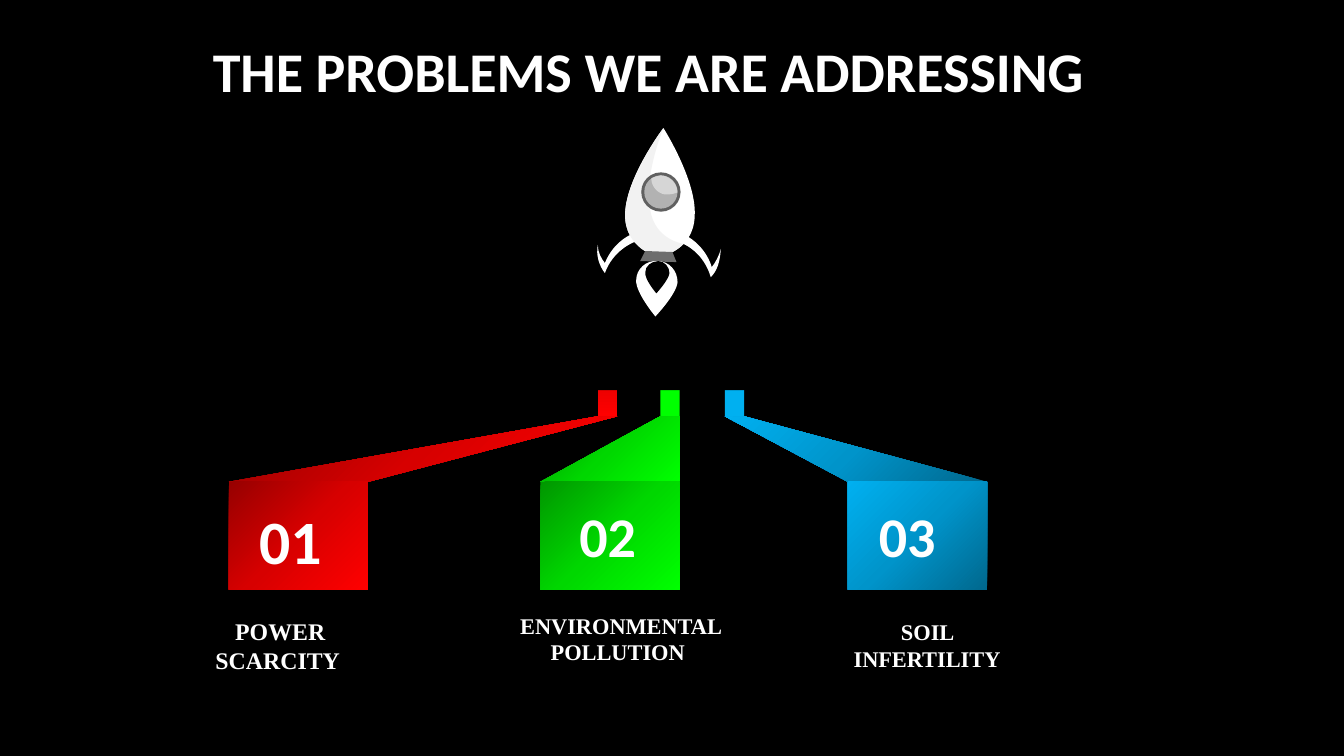
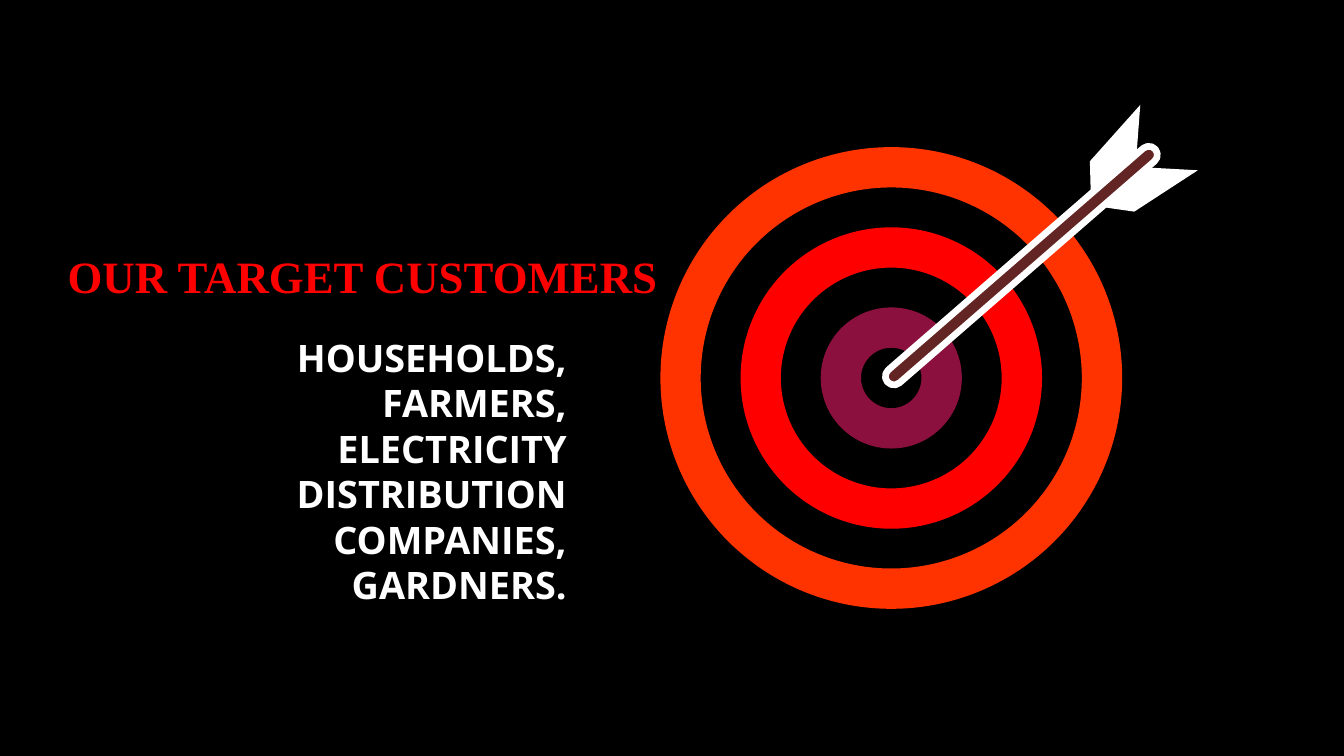
"""Build two slides: the problems being addressed and the target customers."""
from copy import deepcopy

from lxml.etree import SubElement
from pptx import Presentation
from pptx.dml.color import RGBColor
from pptx.enum.shapes import MSO_SHAPE as Shape
from pptx.enum.text import MSO_ANCHOR as Anchor, MSO_AUTO_SIZE as AutoSize, PP_ALIGN as Align
from pptx.oxml.ns import qn
from pptx.util import Inches, Pt

BLACK = RGBColor(0x00, 0x00, 0x00)
WHITE = RGBColor(0xFF, 0xFF, 0xFF)
PALE = RGBColor(0xF2, 0xF2, 0xF2)
GLINT = RGBColor(0xD6, 0xD6, 0xD6)
GLASS = RGBColor(0xB2, 0xB2, 0xB2)
STEEL = RGBColor(0x6D, 0x6D, 0x6D)
RIM = RGBColor(0x60, 0x60, 0x60)
RED = RGBColor(0xFF, 0x00, 0x00)
ORANGE = RGBColor(0xFF, 0x33, 0x00)
PLUM = RGBColor(0x8C, 0x10, 0x3D)
BROWN = RGBColor(0x63, 0x25, 0x23)
REDS = (RGBColor(0x97, 0x00, 0x00), RGBColor(0xD7, 0x00, 0x00), RED)
GREENS = (RGBColor(0x00, 0x97, 0x00), RGBColor(0x00, 0xD7, 0x00), RGBColor(0x00, 0xFF, 0x00))
BLUES = (RGBColor(0x00, 0x68, 0x8E), RGBColor(0x00, 0x94, 0xCA), RGBColor(0x00, 0xB0, 0xF0))
SANS, SERIF, BODY = "Calibri", "Times New Roman", "Open Sans"


def trace(page, start, *steps):
    """Draw a closed outline; two numbers make a line, six a cubic curve."""
    knots = [step[i:i + 2] for step in steps for i in range(0, len(step), 2)]
    builder = page.shapes.build_freeform(Inches(start[0]), Inches(start[1]))
    builder.add_line_segments([(Inches(x), Inches(y)) for x, y in knots], close=True)
    shape = builder.convert_to_shape()
    outline = next(shape.element.iter(qn("a:path")))
    lines = iter(outline.findall(qn("a:lnTo")))
    for step in steps:
        line = next(lines)
        if len(step) == 6:
            curve = outline.makeelement(qn("a:cubicBezTo"))
            line.addprevious(curve)
            for part in (line, next(lines), next(lines)):
                curve.append(part[0])
                outline.remove(part)
    return shape


def paint(shape, colors, angle=0):
    """Fill a shape with one colour, or with a three-stop clockwise gradient."""
    shape.shadow.inherit = False
    shape.line.fill.background()
    if len(colors) == 1:
        shape.fill.solid()
        shape.fill.fore_color.rgb = colors[0]
        return
    shape.fill.gradient()
    shape.fill.gradient_angle = 360 - angle
    stop_list = shape.element.spPr.find(qn("a:gradFill")).find(qn("a:gsLst"))
    stop_list.insert(1, deepcopy(stop_list[0]))
    for stop, color, position in zip(shape.fill.gradient_stops, colors, (0, 0.5, 1)):
        stop.color.rgb = color
        stop.position = position


deck = Presentation()
deck.slide_width, deck.slide_height = Inches(13.33), Inches(7.5)
backdrop = deck.slide_master.background.fill
backdrop.solid()
backdrop.fore_color.rgb = BLACK
texts = []

page = deck.slides.add_slide(deck.slide_layouts[5])
texts.append((page.shapes.title, (1.9, 0.31, 9.06, 0.77), ["THE PROBLEMS WE ARE ADDRESSING"],
              Align.CENTER, SANS, 40, WHITE))

STUB_TOP, FOLD_TOP, FRONT_TOP = 2.99, 4.13, 4.78
STUB_WIDTH, FRONT_WIDTH, FRONT_HEIGHT = 0.19, 1.38, 1.07
problems = [
    (5.93, 2.27, REDS, 45, "01", 44, (2.45, 4.94, 0.86, 0.84),
     "POWER SCARCITY ", 17, (1.9, 6.07, 1.76, 0.67)),
    (6.55, 5.36, GREENS, 45, " 02", 40, (5.49, 4.93, 0.95, 0.77),
     "ENVIRONMENTAL POLLUTION ", 16, (5.02, 6.02, 2.27, 0.94)),
    (7.19, 8.41, BLUES, 225, " 03", 40, (8.46, 4.93, 0.95, 0.77),
     "SOIL INFERTILITY", 16, (8.36, 6.08, 1.67, 0.64)),
]
for (stub_left, front_left, ramp, angle, number, number_size, number_place,
     label, label_size, label_place) in problems:
    stub = page.shapes.add_shape(Shape.RECTANGLE, Inches(stub_left), Inches(STUB_TOP),
                                 Inches(STUB_WIDTH), Inches(FOLD_TOP - STUB_TOP))
    paint(stub, ramp if ramp is REDS else ramp[-1:], 90)
    fold = trace(page, (stub_left, FOLD_TOP), (stub_left + STUB_WIDTH, FOLD_TOP),
                 (front_left + FRONT_WIDTH, FRONT_TOP), (front_left, FRONT_TOP))
    paint(fold, ramp, angle)
    front = page.shapes.add_shape(Shape.RECTANGLE, Inches(front_left), Inches(FRONT_TOP),
                                  Inches(FRONT_WIDTH), Inches(FRONT_HEIGHT))
    paint(front, ramp, angle)
    texts.append((page.shapes.add_textbox(0, 0, 0, 0), number_place, [number],
                  Align.CENTER, SANS, number_size, WHITE))
    texts.append((page.shapes.add_textbox(0, 0, 0, 0), label_place, [label],
                  Align.CENTER, SERIF, label_size, WHITE))

night = page.shapes.add_shape(Shape.RECTANGLE, Inches(5.78), Inches(2.58),
                              Inches(1.78), Inches(1.17))
paint(night, [BLACK])
smoke = ((7.56, 3.74), (7.56, 3.79, 7.55, 3.83, 7.53, 3.87), (5.78, 3.87),
         (5.78, 3.85, 5.78, 3.83, 5.78, 3.82), (5.78, 3.69, 5.88, 3.58, 6.01, 3.58),
         (6.05, 3.58, 6.09, 3.59, 6.13, 3.61), (6.12, 3.6, 6.12, 3.58, 6.12, 3.57),
         (6.12, 3.47, 6.2, 3.39, 6.3, 3.39), (6.32, 3.39, 6.34, 3.39, 6.36, 3.4),
         (6.5, 2.34), (6.67, 3.52), (6.68, 3.52), (6.74, 3.52, 6.79, 3.57, 6.79, 3.63),
         (6.79, 3.64), (6.83, 3.64, 6.85, 3.67, 6.85, 3.71), (6.85, 3.73),
         (6.89, 3.7, 6.93, 3.68, 6.98, 3.68), (7, 3.68, 7.02, 3.68, 7.04, 3.69),
         (7.07, 3.55, 7.21, 3.45, 7.35, 3.48), (7.47, 3.51, 7.56, 3.62, 7.56, 3.74))
fins = ((7.06, 2.65), (7, 2.45, 6.82, 2.3, 6.61, 2.27), (6.57, 2.27, 6.52, 2.27, 6.48, 2.27),
        (6.26, 2.28, 6.08, 2.41, 6, 2.61), (5.96, 2.56, 5.93, 2.5, 5.93, 2.43),
        (5.91, 2.53, 5.94, 2.63, 6, 2.71), (6.07, 2.51, 6.26, 2.37, 6.47, 2.36),
        (6.51, 2.37, 6.56, 2.37, 6.6, 2.37), (6.82, 2.39, 6.99, 2.54, 7.05, 2.75),
        (7.11, 2.69, 7.14, 2.61, 7.15, 2.47), (7.13, 2.54, 7.1, 2.6, 7.06, 2.65))
hull = ((6.89, 2.14), (6.88, 2.5, 6.53, 2.55, 6.53, 2.55), (6.53, 2.55, 6.19, 2.47, 6.2, 2.12),
        (6.21, 1.76, 6.58, 1.27, 6.58, 1.27), (6.58, 1.27, 6.91, 1.79, 6.89, 2.14))
shade = ((6.45, 2.09), (6.39, 1.83, 6.51, 1.44, 6.58, 1.27), (6.58, 1.27, 6.21, 1.76, 6.2, 2.12),
         (6.19, 2.47, 6.53, 2.55, 6.53, 2.55), (6.62, 2.53, 6.71, 2.49, 6.78, 2.42),
         (6.67, 2.4, 6.49, 2.32, 6.45, 2.09))
nozzle = ((6.71, 2.6), (6.35, 2.59), (6.4, 2.49), (6.67, 2.5))
flame = ((6.72, 2.8), (6.71, 2.92, 6.5, 3.14, 6.5, 3.14), (6.5, 3.14, 6.3, 2.9, 6.31, 2.78),
         (6.31, 2.67, 6.41, 2.58, 6.52, 2.59), (6.64, 2.59, 6.72, 2.69, 6.72, 2.8))
flame_core = ((6.64, 2.71), (6.63, 2.78, 6.51, 2.91, 6.51, 2.91),
              (6.51, 2.91, 6.39, 2.77, 6.4, 2.7), (6.4, 2.64, 6.46, 2.59, 6.53, 2.59),
              (6.59, 2.59, 6.64, 2.65, 6.64, 2.71))
glint = ((6.46, 1.77), (6.46, 1.86, 6.54, 1.94, 6.63, 1.93), (6.66, 1.93, 6.69, 1.92, 6.72, 1.91),
         (6.72, 1.82, 6.64, 1.74, 6.55, 1.74), (6.52, 1.75, 6.49, 1.75, 6.46, 1.77))
for outline, color in ((smoke, BLACK), (fins, WHITE), (hull, WHITE), (shade, PALE),
                       (nozzle, STEEL), (flame, WHITE), (flame_core, BLACK)):
    paint(trace(page, *outline), [color])
for diameter, color in ((0.39, RIM), (0.33, GLASS)):
    porthole = page.shapes.add_shape(Shape.OVAL, Inches(6.555 - diameter / 2),
                                     Inches(1.905 - diameter / 2),
                                     Inches(diameter), Inches(diameter))
    paint(porthole, [color])
paint(trace(page, *glint), [GLINT])

page = deck.slides.add_slide(deck.slide_layouts[1])
texts.append((page.shapes.title, (0.57, 2.42, 6.33, 0.64), ["OUR TARGET CUSTOMERS"],
              Align.LEFT, SERIF, 32, RED))
customers = page.placeholders[1]
texts.append((customers, (0.49, 3.27, 5.23, 2.37),
              ["HOUSEHOLDS,", "FARMERS,", "ELECTRICITY DISTRIBUTION COMPANIES,", "GARDNERS."],
              Align.RIGHT, BODY, 27, WHITE))

RING_WIDTH = 0.4
for diameter, color in ((4.58, ORANGE), (2.99, RED), (1.4, PLUM)):
    ring = page.shapes.add_shape(Shape.DONUT, Inches(8.84 - diameter / 2),
                                 Inches(3.75 - diameter / 2), Inches(diameter), Inches(diameter))
    ring.adjustments[0] = RING_WIDTH / diameter
    paint(ring, [color])

shaft = page.shapes.add_shape(Shape.ROUNDED_RECTANGLE, Inches(8.37), Inches(2.55),
                              Inches(3.52), Inches(0.17))
shaft.adjustments[0] = 0.5
shaft.rotation = -41
paint(shaft, [BROWN])
shaft.line.color.rgb = WHITE
shaft.line.width = Pt(4.75)
for feather in (((10.9, 2.05), (11.25, 2.1), (11.88, 1.69), (11.34, 1.66)),
                ((10.82, 1.96), (10.81, 1.6), (11.31, 1.04), (11.27, 1.57))):
    paint(trace(page, *feather), [WHITE])

for box, place, lines, align, font_name, size, color in texts:
    for name, length in zip(("left", "top", "width", "height"), place):
        setattr(box, name, Inches(length))
    frame = box.text_frame
    frame_format = {"word_wrap": True, "auto_size": AutoSize.NONE, "vertical_anchor": Anchor.TOP}
    for name, value in frame_format.items():
        setattr(frame, name, value)
    for index, line in enumerate(lines):
        para = frame.add_paragraph() if index else frame.paragraphs[0]
        para.alignment = align
        para.space_before = Pt(0)
        span = para.add_run()
        span.text = line
        for name, value in {"name": font_name, "size": Pt(size), "bold": True}.items():
            setattr(span.font, name, value)
        span.font.color.rgb = color

for para in customers.text_frame.paragraphs:
    properties = para._p.get_or_add_pPr()
    properties.set("marL", "0")
    properties.set("indent", "0")
    SubElement(properties, qn("a:buNone"))

deck.save("out.pptx")
